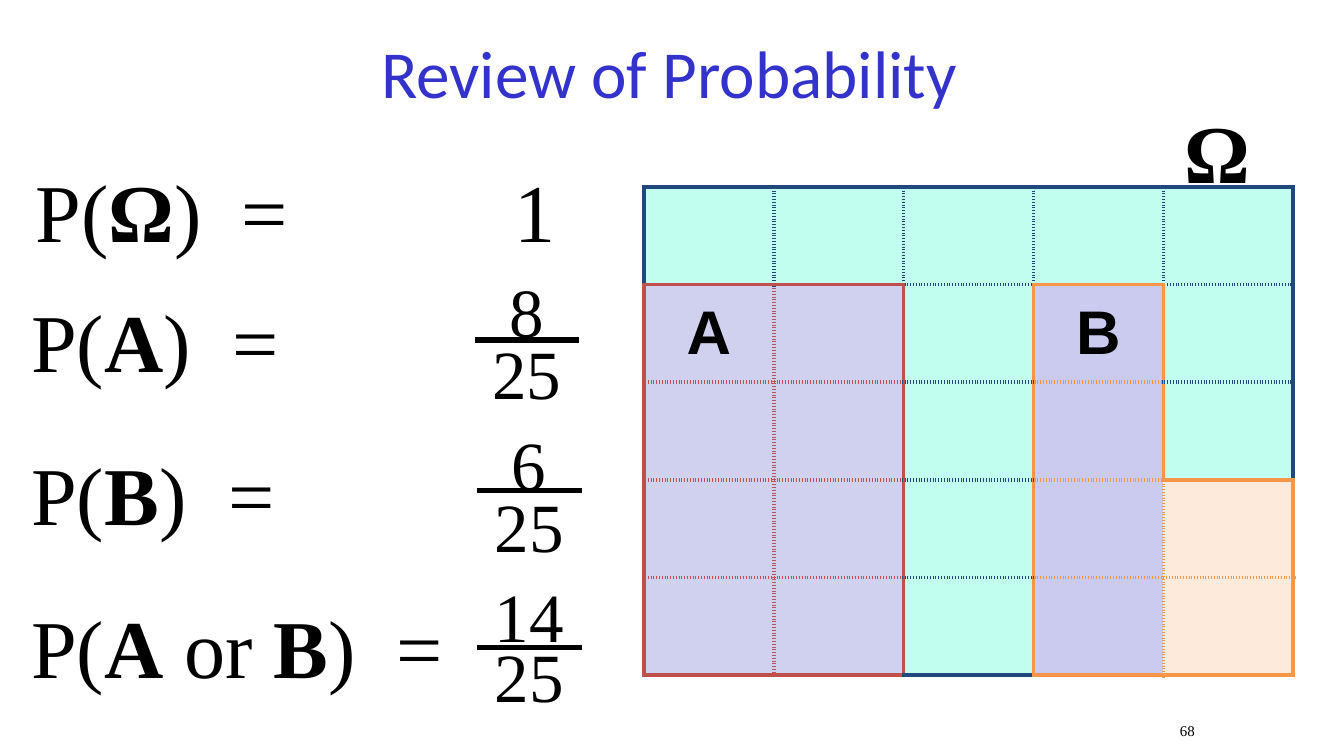
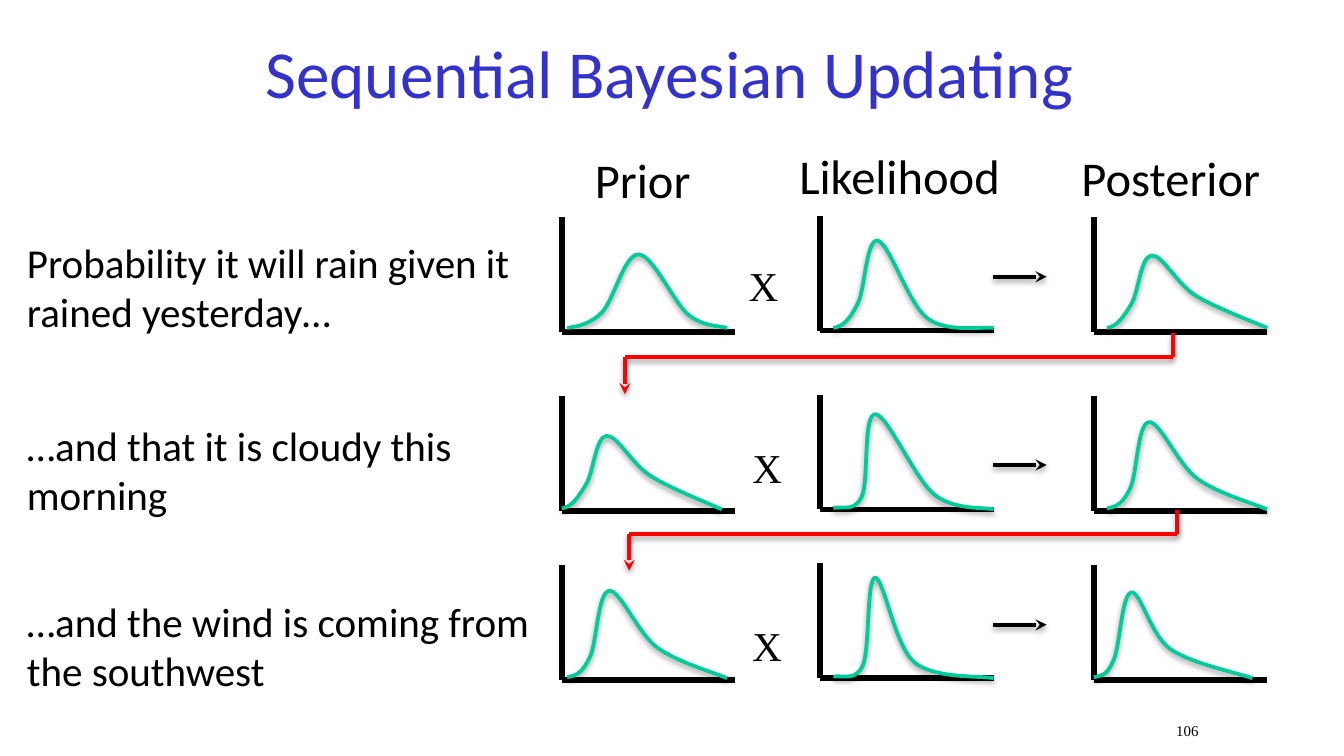
import itertools
from dataclasses import dataclass

import pptx
import pptx.dml.color
import pptx.enum.shapes
import pptx.enum.text
import pptx.oxml
import pptx.oxml.ns
import pptx.util

Cm = pptx.util.Cm
Pt = pptx.util.Pt
Align = pptx.enum.text.PP_ALIGN
Anchor = pptx.enum.text.MSO_ANCHOR
NS = pptx.oxml.ns.nsdecls("a")


@dataclass(frozen=True)
class Theme:
    ink: str = "000000"
    title: str = "3333CC"
    curve: str = "00CC99"
    feedback: str = "FF0000"
    sans: str = "Calibri"
    serif: str = "Times New Roman"
    table_font: str = "Arial"
    title_size: int = 36
    formula_size: int = 44
    fraction_size: int = 37
    event_size: int = 33
    heading_size: int = 26
    body_size: int = 22
    number_size: int = 8
    axis_width: float = 3
    arrow_width: float = 2
    border_width: float = 2.25


THEME = Theme()
SLIDE_SIZE = (25.4, 14.29)
INSETS = (0.23, 0.13, 0.23, 0.13)
TIGHT_INSETS = (0.15, 0.08, 0.15, 0.08)

# Review of Probability: lengths in cm, bold text between asterisks
REVIEW_TITLE, REVIEW_NUMBER = "Review of Probability", "68"
OMEGA_FORMULA, OMEGA_TABS = "P(*Ω*)\t=\t1", (3.9, 9.06)
FORMULAS = [  # formula, tab of "=", numerator, denominator, fraction left, lower top, bar top
    ("P(*A*)\t=", 3.81, "8", "25", 8.69, 6.17, 6.43),
    ("P(*B*)\t=", 3.72, "6", "25", 8.73, 9.06, 9.27),
    ("P(*A* or *B*)\t=", 6.9, "14", "25", 8.73, 11.9, 12.24),
]
FORMULA_TOP, FORMULA_PITCH = 5.41, 2.89

# One letter a cell: O is outside both events, b is the pale part of event B
EVENT_GRID = ["OOOOO", "AAOBO", "AAOBO", "AAOBb", "AAOBb"]
EVENT_LABELS = {(1, 0): "A", (1, 3): "B"}
EVENT_FILLS = {"O": "C1FEEF", "A": "D0D0EF", "B": "CBCBEF", "b": "FDEADA"}
EVENT_BORDERS = {"O": "1F497D", "A": "C0504D", "B": "F79646"}
GRID_BOX = (12.17, 3.53, 12.27, 9.23)

# Sequential Bayesian Updating
UPDATING_TITLE, UPDATING_NUMBER = "Sequential Bayesian Updating", "106"
STAGES = [  # heading, heading box, axis left, axis lift
    ("Prior", (10.41, 2.7, 3.48, 1.09), 10.62, 0),
    ("Likelihood", (14.49, 2.63, 5.03, 1.09), 15.5, 0.03),
    ("Posterior", (19.78, 2.66, 4.7, 1.09), 20.67, 0),
]
# Curve knots are measured from the corner of the axes, upwards
EVIDENCE = [
    dict(text="Probability it will rain given it rained yesterday…", top=4.36,
         base=6.28, times=(13.82, 4.8), arrow=5.23, curves=[
             [(0.1, 0.08), (0.76, 0.38), (1.45, 1.47), (2.39, 0.33), (3.12, 0.08)],
             [(0.25, 0.05), (0.71, 0.51), (1.09, 1.7), (2.03, 0.23), (3.28, 0.05)],
             [(0.25, 0.08), (0.71, 0.53), (1.09, 1.45), (1.93, 0.69), (3.28, 0.08)]]),
    dict(text="…and that it is cloudy this morning", top=7.81,
         base=9.66, times=(13.89, 8.23), arrow=8.79, curves=[
             [(0, 0.05), (0.46, 0.51), (0.84, 1.42), (1.68, 0.66), (3.02, 0.03)],
             [(0.25, 0.03), (0.79, 0.25), (1.04, 1.8), (2.16, 0.28), (3.28, 0)],
             [(0.25, 0.05), (0.69, 0.43), (1.04, 1.68), (1.96, 0.61), (3.28, 0.03)]]),
    dict(text="…and the wind is coming from the southwest", top=11.14,
         base=12.85, times=(13.89, 11.6), arrow=11.81, curves=[
             [(0.1, 0.05), (0.53, 0.43), (0.89, 1.68), (1.8, 0.61), (3.12, 0.03)],
             [(0.25, 0.03), (0.81, 0.25), (1.04, 1.9), (1.78, 0.3), (3.28, 0)],
             [(0, 0.05), (0.38, 0.38), (0.71, 1.65), (1.45, 0.58), (3, 0.03)]]),
]
AXIS_WIDTH, AXIS_HEIGHT = 3.28, 2.17
ARROW_LEFT, ARROW_RIGHT = 18.77, 19.78
FEEDBACK = [  # posterior x, next prior x, then the three heights
    (22.17, 11.81, 6.3, 6.75, 7.45),
    (22.25, 11.89, 9.64, 10.09, 10.79),
]


def rgb(color):
    return pptx.dml.color.RGBColor.from_string(color)


def write_text(frame, text, font=THEME.sans, size=THEME.body_size, color=THEME.ink,
               bold=False, align=Align.LEFT, tabs=()):
    """Fill the first paragraph; parts between asterisks turn bold."""
    paragraph = frame.paragraphs[0]
    paragraph.alignment = align
    if tabs:
        stops = "".join(f'<a:tab pos="{Cm(tab)}" algn="l"/>' for tab in tabs)
        paragraph._p.get_or_add_pPr().append(
            pptx.oxml.parse_xml(f"<a:tabLst {NS}>{stops}</a:tabLst>"))
    for index, part in enumerate(text.split("*")):
        if part:
            run = paragraph.add_run()
            run.text = part
            run.font.name, run.font.size = font, Pt(size)
            run.font.bold = bold or index % 2 == 1
            run.font.color.rgb = rgb(color)


def add_text(slide, text, box, insets=INSETS, anchor=Anchor.TOP, **style):
    frame = slide.shapes.add_textbox(*map(Cm, box)).text_frame
    frame.word_wrap = True
    frame.vertical_anchor = anchor
    (frame.margin_left, frame.margin_top,
     frame.margin_right, frame.margin_bottom) = map(Cm, insets)
    write_text(frame, text, **style)


def style_stroke(shape, color, width, shadow=False, arrow=False):
    shape.line.color.rgb = rgb(color)
    shape.line.width = Pt(width)
    properties = shape._element.spPr
    if arrow:
        shape.line._get_or_add_ln().append(
            pptx.oxml.parse_xml(f'<a:tailEnd {NS} type="stealth"/>'))
    soft = ('<a:outerShdw blurRad="40000" dist="20000" dir="5400000" rotWithShape="0">'
            f'<a:srgbClr val="{THEME.ink}"><a:alpha val="38000"/></a:srgbClr></a:outerShdw>')
    properties.append(pptx.oxml.parse_xml(
        f"<a:effectLst {NS}>{soft if shadow else ''}</a:effectLst>"))


def add_line(slide, start, end, color=THEME.ink, width=THEME.axis_width, **effects):
    line = slide.shapes.add_connector(
        pptx.enum.shapes.MSO_CONNECTOR.STRAIGHT, *map(Cm, start + end))
    style_stroke(line, color, width, **effects)


def round_outline(shape):
    """Turn straight segments into cubic ones whose handles follow the neighbouring knots."""
    knots = [(int(point.get("x")), int(point.get("y")))
             for point in shape._element.iter(pptx.oxml.ns.qn("a:pt"))]
    last = len(knots) - 1
    handles = [tuple((b - a) / 6 for a, b in
                     zip(knots[max(i - 1, 0)], knots[min(i + 1, last)]))
               for i in range(last + 1)]
    handles[0] = (Cm(0.2), -Cm(0.03))
    segments = list(shape._element.iter(pptx.oxml.ns.qn("a:lnTo")))
    for i, segment in enumerate(segments):
        (x, y), (next_x, next_y) = knots[i:i + 2]
        (dx, dy), (next_dx, next_dy) = handles[i:i + 2]
        controls = [(x + dx, y + dy), (next_x - next_dx, next_y - next_dy), (next_x, next_y)]
        points = "".join(f'<a:pt x="{round(px)}" y="{round(py)}"/>' for px, py in controls)
        segment.getparent().replace(segment, pptx.oxml.parse_xml(
            f"<a:cubicBezTo {NS}>{points}</a:cubicBezTo>"))


def add_density(slide, left, base, knots):
    add_line(slide, (left, base - AXIS_HEIGHT), (left, base))
    add_line(slide, (left + AXIS_WIDTH, base), (left, base))
    points = [(Cm(left + x), Cm(base - y)) for x, y in knots]
    builder = slide.shapes.build_freeform(*points[0], scale=1.0)
    builder.add_line_segments(points[1:], close=False)
    curve = builder.convert_to_shape()
    round_outline(curve)
    curve.fill.background()
    style_stroke(curve, THEME.curve, THEME.arrow_width, shadow=True)


def add_slide(deck, title, number):
    slide = deck.slides.add_slide(deck.slide_layouts[6])
    add_text(slide, title, (1.9, 0, 21.6, 2.7), insets=(0.1, 0.1, 0.2, 0.1),
             anchor=Anchor.MIDDLE, size=THEME.title_size, color=THEME.title,
             align=Align.CENTER)
    add_text(slide, number, (19.48, 13.51, 5.92, 0.76), font=THEME.serif,
             size=THEME.number_size, align=Align.CENTER)
    return slide


def set_borders(cell, row, column):
    """Dotted inside an event, solid on its edge; an event outranks the outside."""
    def event_at(r, c):
        inside = 0 <= r < len(EVENT_GRID) and 0 <= c < len(EVENT_GRID[0])
        return EVENT_GRID[r][c].upper() if inside else None

    event = event_at(row, column)
    sides = {"lnL": (0, -1), "lnR": (0, 1), "lnT": (-1, 0), "lnB": (1, 0)}
    for place, (side, (down, across)) in enumerate(sides.items()):
        neighbour = event_at(row + down, column + across)
        owner = neighbour if event == "O" and neighbour else event
        dash = "dot" if neighbour == event else "solid"
        cell._tc.get_or_add_tcPr().insert(place, pptx.oxml.parse_xml(
            f'<a:{side} {NS} w="{Pt(THEME.border_width)}"><a:solidFill>'
            f'<a:srgbClr val="{EVENT_BORDERS[owner]}"/></a:solidFill>'
            f'<a:prstDash val="{dash}"/></a:{side}>'))


def add_event_grid(slide):
    rows, columns = len(EVENT_GRID), len(EVENT_GRID[0])
    grid = slide.shapes.add_table(rows, columns, *map(Cm, GRID_BOX)).table
    grid.first_row = grid.horz_banding = False
    for row, column in itertools.product(range(rows), range(columns)):
        cell = grid.cell(row, column)
        cell.fill.solid()
        cell.fill.fore_color.rgb = rgb(EVENT_FILLS[EVENT_GRID[row][column]])
        cell.vertical_anchor = Anchor.MIDDLE
        cell.margin_left = cell.margin_right = Cm(0.25)
        cell.margin_top = cell.margin_bottom = Cm(0.1)
        set_borders(cell, row, column)
        write_text(cell.text_frame, EVENT_LABELS.get((row, column), ""),
                   font=THEME.table_font, size=THEME.event_size, bold=True,
                   align=Align.CENTER)


def build_review(deck):
    slide = add_slide(deck, REVIEW_TITLE, REVIEW_NUMBER)
    formula = dict(font=THEME.serif, size=THEME.formula_size)
    add_text(slide, "Ω", (21.89, 1.79, 2.24, 1.73), bold=True, align=Align.CENTER, **formula)
    add_event_grid(slide)
    add_text(slide, OMEGA_FORMULA, (0.44, 2.91, 11.96, 1.73), tabs=OMEGA_TABS, **formula)
    for index, (text, tab, numerator, denominator, left, lower, bar) in enumerate(FORMULAS):
        top = FORMULA_TOP + index * FORMULA_PITCH
        add_text(slide, text, (0.44, top, 11.96, 1.73), insets=TIGHT_INSETS,
                 tabs=(tab,), **formula)
        for value, value_top in ((numerator, top - 0.42), (denominator, lower)):
            add_text(slide, value, (left, value_top, 2.54, 1.47), insets=TIGHT_INSETS,
                     font=THEME.serif, size=THEME.fraction_size, align=Align.CENTER)
        add_line(slide, (left + 0.28, bar), (left + 2.26, bar))


def build_updating(deck):
    slide = add_slide(deck, UPDATING_TITLE, UPDATING_NUMBER)
    for heading, box, _, _ in STAGES:
        add_text(slide, heading, box, size=THEME.heading_size, align=Align.CENTER)
    for evidence in EVIDENCE:
        add_text(slide, evidence["text"], (0.28, evidence["top"], 10.01, 1.73))
        for (_, _, left, lift), knots in zip(STAGES, evidence["curves"]):
            add_density(slide, left, evidence["base"] - lift, knots)
        add_text(slide, "X", evidence["times"] + (1.22, 0.97), font=THEME.serif,
                 align=Align.CENTER)
        add_line(slide, (ARROW_LEFT, evidence["arrow"]), (ARROW_RIGHT, evidence["arrow"]),
                 width=THEME.arrow_width, shadow=True, arrow=True)
    for posterior, prior, top, middle, bottom in FEEDBACK:
        corners = [(posterior, top), (posterior, middle), (prior, middle), (prior, bottom)]
        for start, end in itertools.pairwise(corners):
            add_line(slide, start, end, color=THEME.feedback, width=THEME.arrow_width,
                     shadow=True, arrow=end == corners[-1])


def main():
    deck = pptx.Presentation()
    deck.slide_width, deck.slide_height = map(Cm, SLIDE_SIZE)
    build_review(deck)
    build_updating(deck)
    deck.save("out.pptx")


if __name__ == "__main__":
    main()
